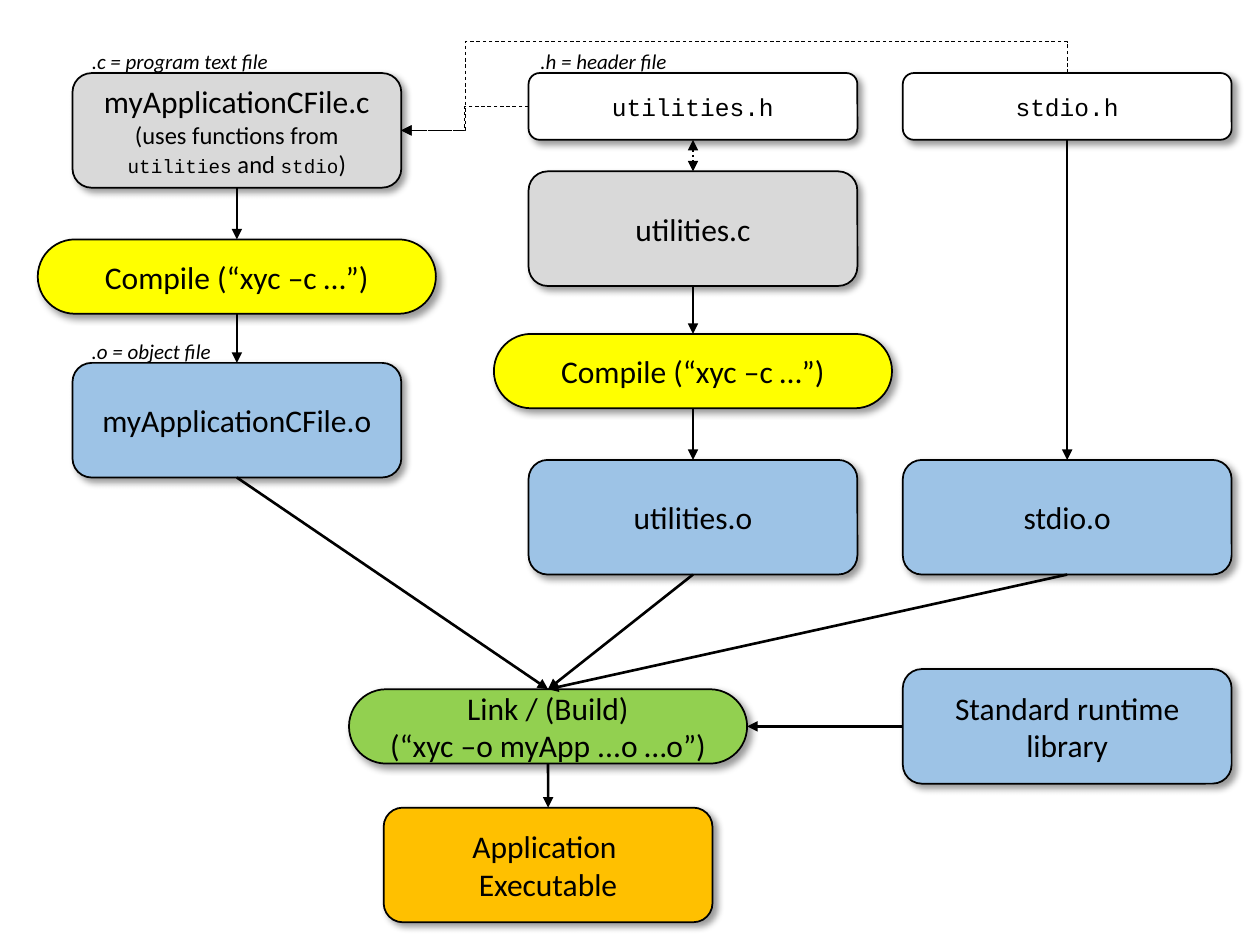
from lxml import etree
from pptx import Presentation
from pptx.dml.color import RGBColor
from pptx.enum.dml import MSO_LINE
from pptx.enum.shapes import MSO_CONNECTOR as LINK, MSO_SHAPE as SHAPE
from pptx.enum.text import MSO_ANCHOR, MSO_AUTO_SIZE, PP_ALIGN
from pptx.oxml import parse_xml
from pptx.oxml.ns import nsdecls, qn
from pptx.util import Inches, Pt

COLORS = {
    "ink": "000000", "header": "FFFFFF", "source": "D9D9D9", "object": "9DC3E6",
    "compile": "FFFF00", "link": "92D050", "program": "FFC000",
}
SANS, MONO = "Calibri", "Courier New"
TOP, LEFT, BOTTOM, RIGHT = range(4)
CARD, HEADER, PILL = (2.61, 0.91), (2.61, 0.53), (3.16, 0.59)
# Centre lines of the columns
APP, UTILITIES, STDIO, BUILD = 1.88, 5.5, 8.47, 4.35


def rgb(name):
    return RGBColor.from_string(COLORS[name])


class Diagram:
    def __init__(self, page):
        self.page = page

    def style(self, font, size, face=SANS):
        font.name, font.size = face, Pt(size)
        font.color.rgb = rgb("ink")

    def box(self, center, top, size, fill, lines, face=SANS, points=18):
        """A rounded box; each line is a string or a list of (text, face, size)."""
        width, height = size
        box = self.page.shapes.add_shape(
            SHAPE.ROUNDED_RECTANGLE, Inches(center - width / 2), Inches(top),
            Inches(width), Inches(height))
        if size == PILL:
            box.adjustments[0] = 0.5
        box.fill.solid()
        box.fill.fore_color.rgb = rgb(fill)
        box.line.color.rgb = rgb("ink")
        box.line.width = Pt(1)
        self.shadow(box)
        frame = box.text_frame
        frame.word_wrap = True
        frame.vertical_anchor = MSO_ANCHOR.MIDDLE
        for index, line in enumerate(lines):
            para = frame.add_paragraph() if index else frame.paragraphs[0]
            para.alignment = PP_ALIGN.CENTER
            if isinstance(line, str):
                para.text = line
                self.style(para.font, points, face)
                continue
            for text, span_face, span_size in line:
                span = para.add_run()
                span.text = text
                self.style(span.font, span_size, span_face)
        return box

    def shadow(self, box):
        box.shadow.inherit = False
        effects = box._element.spPr.find(qn("a:effectLst"))
        effects.append(parse_xml(
            f'<a:outerShdw {nsdecls("a")} blurRad="{Pt(4)}" dist="{Pt(3)}" '
            f'dir="{45 * 60000}" algn="tl" rotWithShape="0">'
            f'<a:srgbClr val="{COLORS["ink"]}"><a:alpha val="40000"/></a:srgbClr>'
            '</a:outerShdw>'))

    def arrow(self, start, end, sides=(BOTTOM, TOP), kind=LINK.STRAIGHT,
              width=1.5, dash=None, both=False):
        arrow = self.page.shapes.add_connector(kind, 0, 0, 0, 0)
        arrow.begin_connect(start, sides[0])
        arrow.end_connect(end, sides[1])
        arrow.line.color.rgb = rgb("ink")
        arrow.line.width = Pt(width)
        if dash:
            arrow.line.dash_style = dash
        outline = arrow.line._get_or_add_ln()
        for tag in ("a:headEnd", "a:tailEnd") if both else ("a:tailEnd",):
            etree.SubElement(outline, qn(tag), type="triangle")
        etree.SubElement(arrow._element.spPr, qn("a:effectLst"))
        return arrow

    def route_over_top(self, arrow, adjustments):
        """Turn an elbow into a four-part route that leaves upwards."""
        center_x = arrow.left + arrow.width // 2
        center_y = arrow.top + arrow.height // 2
        width, height = arrow.height, arrow.width
        arrow.left, arrow.top = center_x - width // 2, center_y - height // 2
        arrow.width, arrow.height = width, height
        properties = arrow._element.spPr
        frame = properties.find(qn("a:xfrm"))
        for key, value in (("rot", 270 * 60000), ("flipH", 1), ("flipV", 1)):
            frame.set(key, str(value))
        geometry = properties.find(qn("a:prstGeom"))
        geometry.set("prst", "bentConnector4")
        guides = geometry.find(qn("a:avLst"))
        if guides is None:
            guides = etree.SubElement(geometry, qn("a:avLst"))
        for number, value in enumerate(adjustments, 1):
            etree.SubElement(guides, qn("a:gd"), name=f"adj{number}",
                             fmla=f"val {round(value * 100000)}")

    def label(self, left, top, width, text):
        box = self.page.shapes.add_textbox(
            Inches(left), Inches(top), Inches(width), Inches(0.3))
        frame = box.text_frame
        frame.word_wrap = False
        frame.auto_size = MSO_AUTO_SIZE.SHAPE_TO_FIT_TEXT
        para = frame.paragraphs[0]
        para.text = text
        self.style(para.font, 12)
        para.font.italic = True


def main():
    deck = Presentation()
    deck.slide_width, deck.slide_height = Inches(10), Inches(7.5)
    diagram = Diagram(deck.slides.add_slide(deck.slide_layouts[6]))
    box, arrow = diagram.box, diagram.arrow
    compile_text = "Compile (“xyc –c …”)"

    # Application column
    app_source = box(APP, 0.58, CARD, "source", [
        "myApplicationCFile.c",
        [("(uses functions from ", SANS, 14), ("utilities", MONO, 11),
         (" and ", SANS, 14), ("stdio", MONO, 11), (")", SANS, 14)]])
    app_compile = box(APP, 1.9, PILL, "compile", [compile_text])
    app_object = box(APP, 2.88, CARD, "object", ["myApplicationCFile.o"])

    # Utilities column
    utilities_header = box(UTILITIES, 0.58, HEADER, "header", ["utilities.h"], MONO, 14)
    utilities_source = box(UTILITIES, 1.36, CARD, "source", ["utilities.c"])
    utilities_compile = box(UTILITIES, 2.65, PILL, "compile", [compile_text])
    utilities_object = box(UTILITIES, 3.65, CARD, "object", ["utilities.o"])

    # Standard library column
    stdio_header = box(STDIO, 0.58, HEADER, "header", ["stdio.h"], MONO, 14)
    stdio_object = box(STDIO, 3.65, CARD, "object", ["stdio.o"])
    runtime = box(STDIO, 5.31, CARD, "object", ["Standard runtime library"])

    # Build steps
    build = box(BUILD, 5.47, PILL, "link", ["Link / (Build)\v(“xyc –o myApp ...o …o”)"])
    program = box(BUILD, 6.41, CARD, "program", ["Application ", "Executable"])

    # Flow from sources to executable
    for start, end in (
            (app_source, app_compile), (app_compile, app_object),
            (utilities_source, utilities_compile),
            (utilities_compile, utilities_object), (stdio_header, stdio_object),
            (app_object, build), (utilities_object, build), (stdio_object, build),
            (build, program)):
        arrow(start, end)
    arrow(runtime, build, (LEFT, RIGHT))
    arrow(utilities_header, utilities_source, dash=MSO_LINE.ROUND_DOT, both=True)

    # Header files included by the application, both turning midway between columns
    include = {"kind": LINK.ELBOW, "width": 0.5, "dash": MSO_LINE.DASH}
    arrow(utilities_header, app_source, (LEFT, RIGHT), **include)
    over_top = arrow(stdio_header, app_source, (TOP, RIGHT), **include)
    turn = (APP + UTILITIES) / 2
    app_edge = APP + CARD[0] / 2
    diagram.route_over_top(over_top, (-0.55, (STDIO - turn) / (STDIO - app_edge)))

    # File type labels
    diagram.label(0.63, 0.34, 1.62, ".c = program text file")
    diagram.label(0.63, 2.64, 1.16, ".o = object file")
    diagram.label(4.19, 0.34, 1.22, ".h = header file")

    deck.save("out.pptx")


if __name__ == "__main__":
    main()
